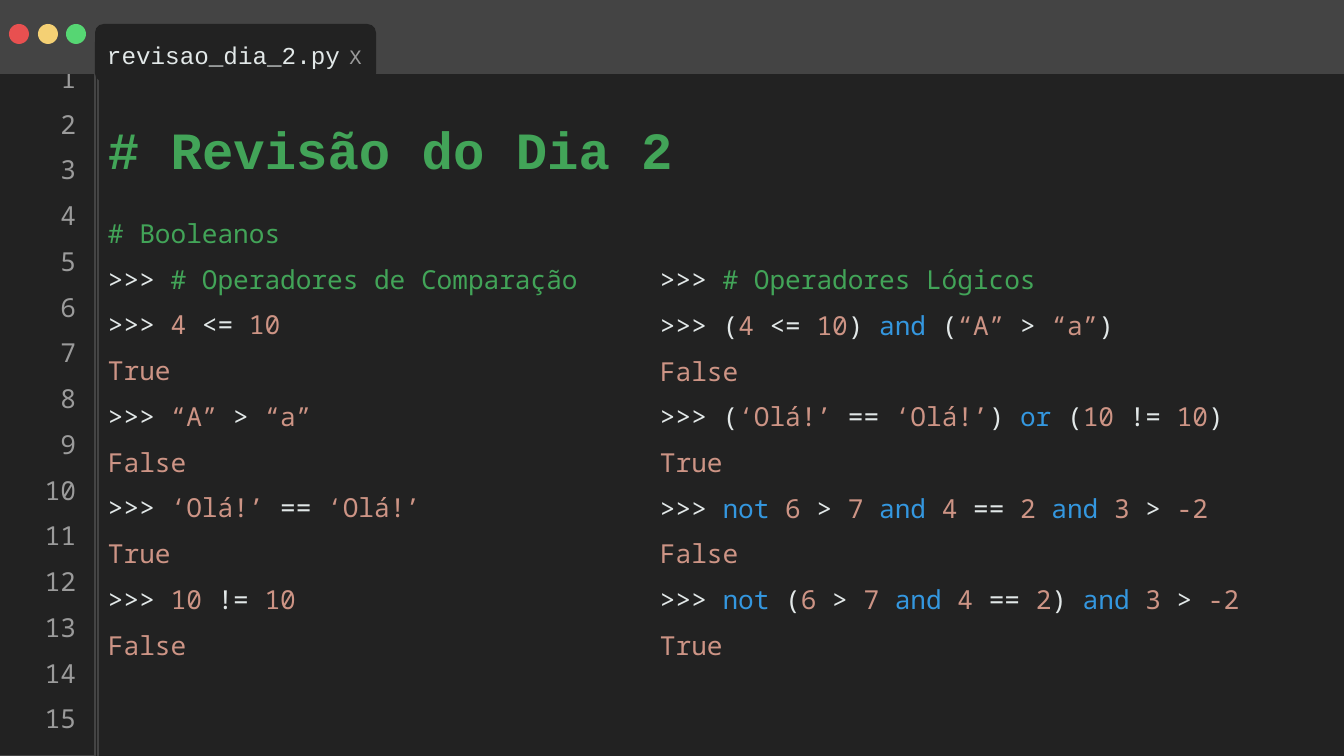
"""Build the code-editor slide that reviews booleans from day 2."""
from itertools import groupby

from lxml import etree
from pptx import Presentation
from pptx.dml.color import RGBColor
from pptx.enum.shapes import MSO_CONNECTOR, MSO_SHAPE
from pptx.enum.text import MSO_ANCHOR, MSO_AUTO_SIZE, PP_ALIGN
from pptx.oxml.ns import qn
from pptx.util import Pt

RECTANGLE, OVAL, ROUNDED = MSO_SHAPE.RECTANGLE, MSO_SHAPE.OVAL, MSO_SHAPE.ROUNDED_RECTANGLE
LEFT, CENTER, RIGHT, JUSTIFY = PP_ALIGN.LEFT, PP_ALIGN.CENTER, PP_ALIGN.RIGHT, PP_ALIGN.JUSTIFY
PIXEL = 914400 / 67.2
DARK, FRAME, GRAY, WHITE = "222222", "444444", "9B9B9B", "E2E8E8"
GREEN, ORANGE, BLUE = "42A458", "CD9485", "3497DF"
CODE_FONT, TITLE_FONT = "Noto Sans Mono", "Courier New"
KEYWORDS = {"and", "or", "not"}
OPERATORS = {">>>", "<=", ">", "==", "!="}
FRAME_FORMAT = {
    "margin_left": 0, "margin_top": 0, "margin_right": 0, "margin_bottom": 0,
    "word_wrap": True, "auto_size": MSO_AUTO_SIZE.NONE, "vertical_anchor": MSO_ANCHOR.TOP,
}
color = RGBColor.from_string


def add_block(kind, box, fill):
    shape = slide.shapes.add_shape(kind, *[round(length * PIXEL) for length in box])
    shape.shadow.inherit = False
    shape.fill.solid()
    shape.fill.fore_color.rgb = color(fill)
    shape.line.fill.background()
    return shape


def write(shape, box, lines, size, spacing, font_name, alignment, bold=False):
    for name, length in zip(("left", "top", "width", "height"), box):
        setattr(shape, name, round(length * PIXEL))
    frame = shape.text_frame
    for name, value in FRAME_FORMAT.items():
        setattr(frame, name, value)
    for index, line in enumerate(lines):
        paragraph = frame.add_paragraph() if index else frame.paragraphs[0]
        properties = paragraph._p.get_or_add_pPr()
        properties.set("marL", "0")
        properties.set("indent", "0")
        etree.SubElement(properties, qn("a:buNone"))
        paragraph_format = {"alignment": alignment, "line_spacing": Pt(spacing),
                            "space_before": Pt(0), "space_after": Pt(0)}
        for name, value in paragraph_format.items():
            setattr(paragraph, name, value)
        for text, text_color in line:
            run = paragraph.add_run()
            run.text = text
            run_format = {"name": font_name, "size": Pt(size), "bold": bold}
            for name, value in run_format.items():
                setattr(run.font, name, value)
            run.font.color.rgb = color(text_color)


presentation = Presentation()
presentation.slide_width = round(1344 * PIXEL)
presentation.slide_height = round(756 * PIXEL)
slide = presentation.slides.add_slide(presentation.slide_layouts[3])
slide.background.fill.solid()
slide.background.fill.fore_color.rgb = color(DARK)
title, comparison, logic = slide.placeholders

write(title, (108, 88, 1218, 84), [[("# Revisão do Dia 2", GREEN)]], 56, 98, TITLE_FONT, LEFT, True)

columns = [
    (comparison, (108, 203, 540, 457), [
        "# Booleanos",
        ">>> # Operadores de Comparação",
        ">>> 4 <= 10", "True",
        ">>> “A” > “a”", "False",
        ">>> ‘Olá!’ == ‘Olá!’", "True",
        ">>> 10 != 10", "False",
    ]),
    (logic, (660, 249, 670, 411), [
        ">>> # Operadores Lógicos",
        ">>> (4 <= 10) and (“A” > “a”)", "False",
        ">>> (‘Olá!’ == ‘Olá!’) or (10 != 10)", "True",
        ">>> not 6 > 7 and 4 == 2 and 3 > -2", "False",
        ">>> not (6 > 7 and 4 == 2) and 3 > -2", "True",
    ]),
]
for placeholder, box, code_lines in columns:
    colored_lines = []
    for code_line in code_lines:
        code, marker, comment = code_line.partition("#")
        pieces = []
        for index, word in enumerate(code.split(" ")):
            core = word.strip("()")
            core_color = BLUE if core in KEYWORDS else WHITE if core in OPERATORS else ORANGE
            before, core, after = word.partition(core) if core else ("", "", "")
            pieces += [(" " * (index > 0) + before, WHITE), (core, core_color), (after, WHITE)]
        pieces.append((marker + comment, GREEN))
        visible = [piece for piece in pieces if piece[0]]
        colored_lines.append([
            ("".join(text for text, _ in group), shade)
            for shade, group in groupby(visible, key=lambda piece: piece[1])
        ])
    write(placeholder, box, colored_lines, 28, 49, CODE_FONT, JUSTIFY)

gutter = add_block(RECTANGLE, (-7, 24, 102, 732), DARK)
gutter.line.color.rgb = color(FRAME)
gutter.line.width = Pt(3)
divider = slide.shapes.add_connector(
    MSO_CONNECTOR.STRAIGHT, *[round(length * PIXEL) for length in (98, 24, 98, 756)])
divider.line.color.rgb = color(FRAME)
divider.line.width = Pt(3)
etree.SubElement(divider._element.spPr, qn("a:effectLst"))

numbers = slide.shapes.add_textbox(0, 0, 0, 0)
number_lines = [[(str(number), GRAY)] for number in range(1, 16)]
write(numbers, (0, 48, 76, 690), number_lines, 28, 49, CODE_FONT, RIGHT)

add_block(RECTANGLE, (0, 0, 1344, 74), FRAME)
for left, fill in ((9, "E85050"), (38, "F4D074"), (66, "56D673")):
    add_block(OVAL, (left, 24, 20, 20), fill)
tab = add_block(ROUNDED, (95, 24, 281, 58), DARK)
tab.adjustments[0] = 0.15

tab_texts = [
    ("X", (348, 40, 15, 28), 22, 30.8, GRAY, CENTER),
    ("revisao_dia_2.py", (107, 35, 240, 32), 26, 36.4, WHITE, LEFT),
]
for text, box, size, spacing, text_color, alignment in tab_texts:
    label = slide.shapes.add_textbox(0, 0, 0, 0)
    write(label, box, [[(text, text_color)]], size, spacing, TITLE_FONT, alignment)

presentation.save("out.pptx")
